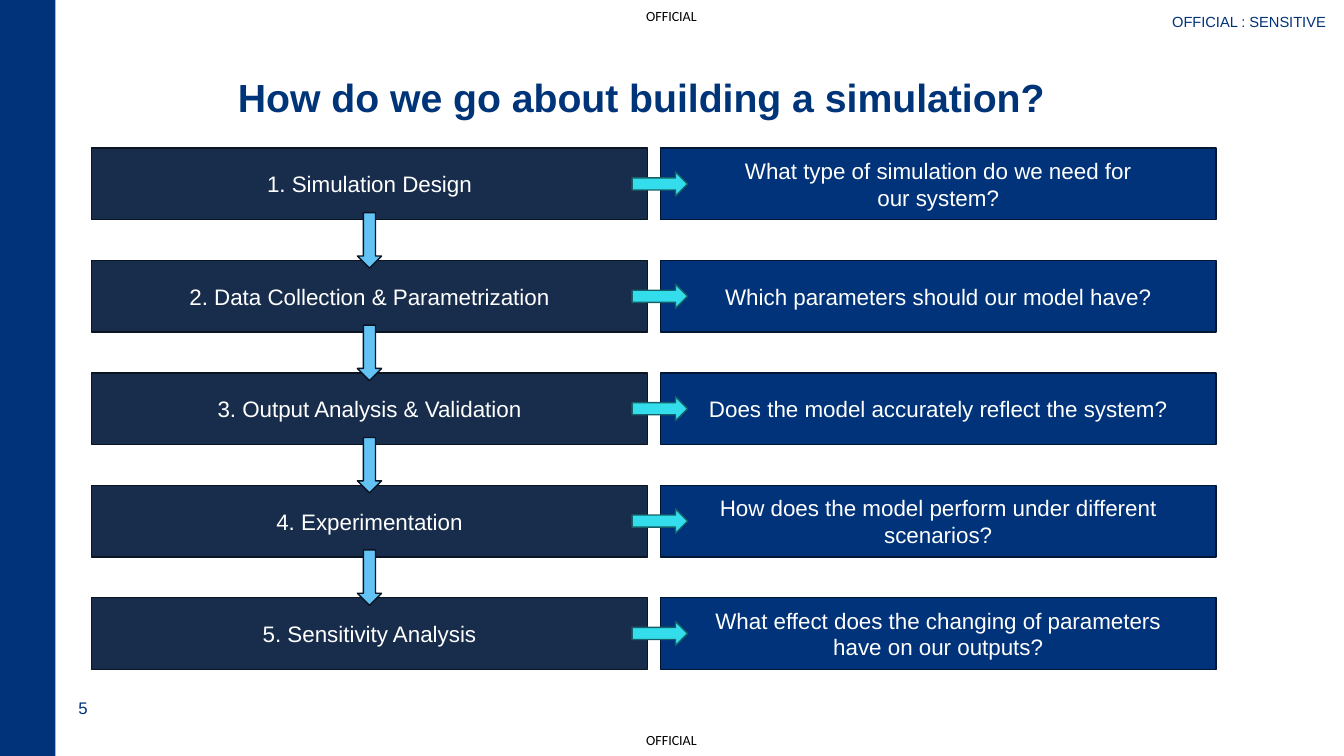
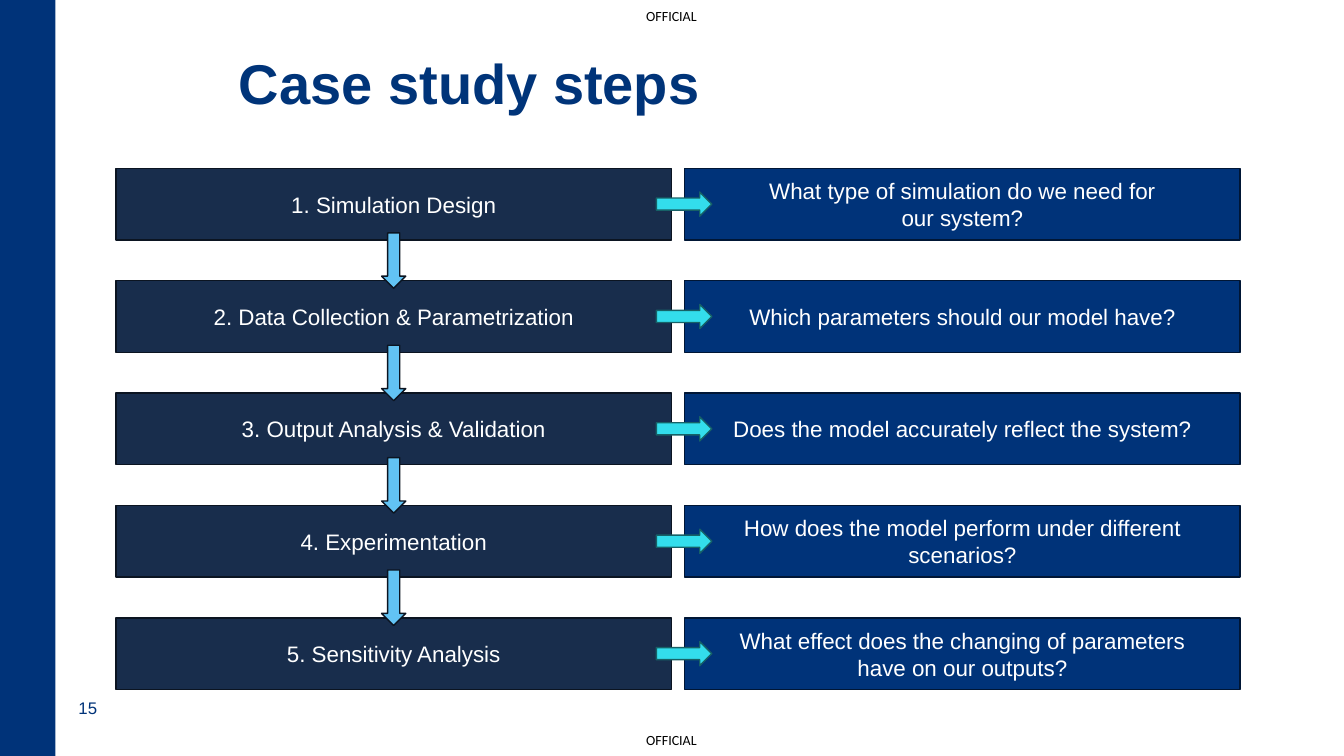
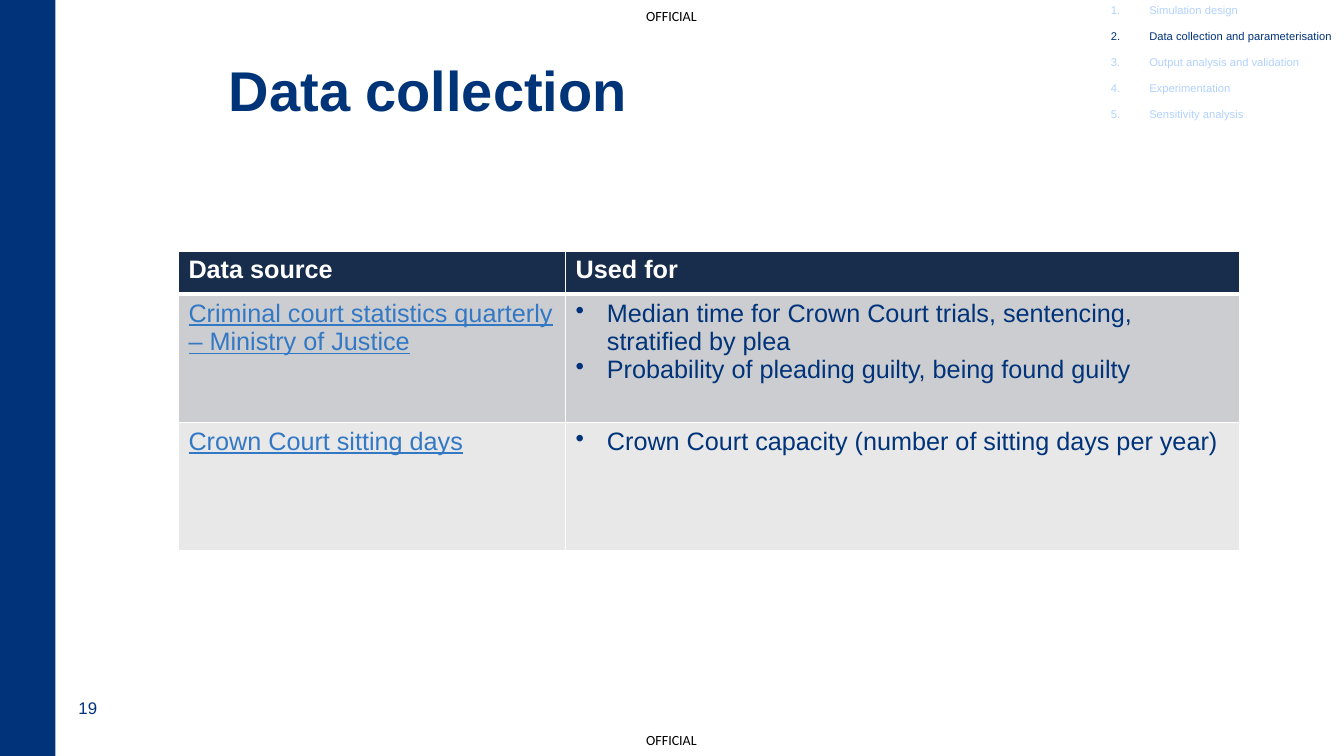
from dataclasses import dataclass

from lxml.etree import SubElement
from pptx import Presentation
from pptx.dml.color import RGBColor
from pptx.enum.shapes import MSO_SHAPE
from pptx.enum.text import MSO_ANCHOR, MSO_AUTO_SIZE, PP_ALIGN
from pptx.oxml import parse_xml
from pptx.oxml.ns import nsdecls, qn
from pptx.util import Inches, Pt


@dataclass(frozen=True)
class Theme:
    font: str = "Arial"
    marking_font: str = "Calibri"

    title: str = "003479"
    blue: str = "003379"
    blue_edge: str = "001635"
    navy: str = "182D4C"
    navy_edge: str = "0B1421"
    sky: str = "62C3F4"
    aqua: str = "33DDEC"
    aqua_edge: str = "166167"
    faded: str = "B1D2FF"
    link: str = "3278C5"
    row_dark: str = "CCCDD0"
    row_light: str = "E8E8E9"
    white: str = "FFFFFF"
    black: str = "000000"

    title_size: float = 40
    long_title_size: float = 28
    table_size: float = 18
    box_size: float = 16
    number_size: float = 12
    sensitive_size: float = 10.5
    marking_size: float = 10
    agenda_size: float = 8


THEME = Theme()

STEPS = [
    ("1. Simulation Design",
     ["What type of simulation do we need for", "our system?"]),
    ("2. Data Collection & Parametrization",
     ["Which parameters should our model have?"]),
    ("3. Output Analysis & Validation",
     ["Does the model accurately reflect the system?"]),
    ("4. Experimentation",
     ["How does the model perform under different scenarios?"]),
    ("5. Sensitivity Analysis",
     ["What effect does the changing of parameters", "have on our outputs?"]),
]

AGENDA = ["Simulation design", "Data collection and parameterisation",
          "Output analysis and validation", "Experimentation",
          "Sensitivity analysis"]

SOURCES = [
    ("Criminal court statistics quarterly – Ministry of Justice",
     ["Median time for Crown Court trials, sentencing, stratified by plea",
      "Probability of pleading guilty, being found guilty"]),
    ("Crown Court sitting days",
     ["Crown Court capacity (number of sitting days per year)"]),
]


def set_font(paragraph, size, color, name=THEME.font, bold=False, underline=False):
    font = paragraph.font
    font.name, font.size = name, Pt(size)
    font.bold, font.underline = bold, underline
    font.color.rgb = RGBColor.from_string(color)


def write(frame, lines, size, color, align=PP_ALIGN.LEFT, **style):
    """Fill a text frame with one paragraph per line and return the paragraphs."""
    frame.text = "\n".join(lines)
    for paragraph in frame.paragraphs:
        paragraph.alignment = align
        set_font(paragraph, size, color, **style)
    return frame.paragraphs


def set_bullet(paragraph, indent, tag, **attributes):
    """Hang the paragraph by indent inches behind a buChar or buAutoNum."""
    properties = paragraph._p.get_or_add_pPr()
    properties.set("marL", str(Inches(indent)))
    properties.set("indent", str(-Inches(indent)))
    marker = SubElement(properties, qn(f"a:{tag}"), **attributes)
    defaults = properties.find(qn("a:defRPr"))
    if defaults is not None:
        defaults.addprevious(marker)


def set_borders(cell, color, **widths):
    """Draw the sides L, R, T and B with the given widths in points."""
    properties = cell._tc.get_or_add_tcPr()
    for index, side in enumerate("LRTB"):
        properties.insert(index, parse_xml(
            f'<a:ln{side} {nsdecls("a")} w="{Pt(widths.get(side, 1))}"><a:solidFill>'
            f'<a:srgbClr val="{color}"/></a:solidFill></a:ln{side}>'))


class Deck:
    def __init__(self, theme):
        self.theme = theme
        self.presentation = Presentation()
        self.presentation.slide_width = Inches(13.33)
        self.presentation.slide_height = Inches(7.5)
        self.slide = None

    def new_slide(self, number, title, left, top, width=5.84, size=None):
        """Start a slide with its markings, side band, page number and title."""
        t = self.theme
        layout = self.presentation.slide_layouts[5]
        self.slide = self.presentation.slides.add_slide(layout)
        for marking_top in (0.07, 7.26):
            self.text(["OFFICIAL"], 6.41, marking_top, 0.53, 0.17, t.marking_size,
                      t.black, inset=0, wrap=False, name=t.marking_font)
        self.shape(MSO_SHAPE.RECTANGLE, 0, 0, 0.55, 7.5, t.blue)
        self.text([str(number)], 0.68, 6.87, 1.87, 0.3, t.number_size, t.blue)

        heading = self.slide.shapes.title
        heading.left, heading.top = Inches(left), Inches(top)
        heading.width, heading.height = Inches(width), Inches(0.88)
        frame = heading.text_frame
        frame.vertical_anchor = MSO_ANCHOR.BOTTOM
        frame.auto_size = MSO_AUTO_SIZE.NONE
        paragraph, = write(frame, [title], size or t.title_size, t.title, bold=True)
        paragraph.line_spacing = 0.9

    def text(self, lines, left, top, width, height, size, color,
             inset=None, wrap=True, **style):
        box = self.slide.shapes.add_textbox(
            Inches(left), Inches(top), Inches(width), Inches(height))
        frame = box.text_frame
        frame.word_wrap = wrap
        if inset is not None:
            frame.margin_left = frame.margin_right = Inches(inset)
            frame.margin_top = frame.margin_bottom = Inches(inset)
        return write(frame, lines, size, color, **style)

    def shape(self, kind, left, top, width, height, fill, edge=None):
        shape = self.slide.shapes.add_shape(
            kind, Inches(left), Inches(top), Inches(width), Inches(height))
        shape.shadow.inherit = False
        shape.fill.solid()
        shape.fill.fore_color.rgb = RGBColor.from_string(fill)
        if edge:
            shape.line.color.rgb = RGBColor.from_string(edge)
            shape.line.width = Pt(1)
        else:
            shape.line.fill.background()
        return shape

    def box(self, lines, left, top, width, height, fill, edge):
        frame = self.shape(MSO_SHAPE.RECTANGLE, left, top, width, height,
                           fill, edge).text_frame
        frame.word_wrap = True
        frame.vertical_anchor = MSO_ANCHOR.MIDDLE
        write(frame, lines, self.theme.box_size, self.theme.white, PP_ALIGN.CENTER)

    def step_flow(self, steps, left, top):
        """Stack the steps, each pointing to its question and to the next step."""
        t = self.theme
        width, height, gap = 5.51, 0.71, 0.13
        pitch = 4.46 / 4
        length, thickness = 0.55, 0.24
        tops = [top + row * pitch for row in range(len(steps))]
        for (step, question), row_top in zip(steps, tops):
            self.box([step], left, row_top, width, height, t.navy, t.navy_edge)
            self.box(question, left + width + gap, row_top, width, height,
                     t.blue, t.blue_edge)
        for row_top in tops[:-1]:
            self.shape(MSO_SHAPE.DOWN_ARROW, left + (width - thickness) / 2,
                       row_top + 0.64, thickness, length, t.sky, t.navy_edge)
        for row_top in tops:
            self.shape(MSO_SHAPE.RIGHT_ARROW, left + 5.36,
                       row_top + (height - thickness) / 2, length, thickness,
                       t.aqua, t.aqua_edge)

    def agenda(self, entries, current):
        t = self.theme
        paragraphs = self.text(entries, 10.92, 0, 2.41, 2.12, t.agenda_size, t.faded)
        for entry, paragraph in zip(entries, paragraphs):
            paragraph.line_spacing = 0.9
            paragraph.space_before = Pt(10)
            set_bullet(paragraph, 0.38, "buAutoNum", type="arabicPeriod")
            if entry == current:
                paragraph.font.color.rgb = RGBColor.from_string(t.blue)

    def cell(self, cell, lines, fill, color, borders, **style):
        cell.fill.solid()
        cell.fill.fore_color.rgb = RGBColor.from_string(fill)
        set_borders(cell, self.theme.white, **borders)
        return write(cell.text_frame, lines, self.theme.table_size, color, **style)

    def source_table(self, headings, sources):
        t = self.theme
        widths, heights = (3.84, 6.68), (0.43, 1.27, 1.27)
        table = self.slide.shapes.add_table(
            len(heights), len(widths), Inches(1.77), Inches(2.49),
            Inches(sum(widths)), Inches(sum(heights))).table
        for column, width in zip(table.columns, widths):
            column.width = Inches(width)
        for row, height in zip(table.rows, heights):
            row.height = Inches(height)

        for column, heading in enumerate(headings):
            self.cell(table.cell(0, column), [heading], t.navy, t.white,
                      {"B": 3}, bold=True)
        fills = (t.row_dark, t.row_light)
        for row, ((source, uses), fill) in enumerate(zip(sources, fills), start=1):
            borders = {"T": 3} if row == 1 else {}
            self.cell(table.cell(row, 0), [source], fill, t.link, borders,
                      underline=True)
            for use in self.cell(table.cell(row, 1), uses, fill, t.blue, borders):
                set_bullet(use, 0.31, "buChar", char="•")


def main():
    deck = Deck(THEME)

    deck.new_slide(5, "How do we go about building a simulation?", 2.26, 0.37,
                   width=8.31, size=THEME.long_title_size)
    deck.text(["OFFICIAL : SENSITIVE"], 10.97, 0.08, 2.28, 0.24,
              THEME.sensitive_size, THEME.blue, align=PP_ALIGN.RIGHT)
    deck.step_flow(STEPS, 0.91, 1.47)

    deck.new_slide(15, "Case study steps", 2.27, 0.33)
    deck.step_flow(STEPS, 1.15, 1.67)

    deck.new_slide(19, "Data collection", 2.17, 0.4)
    deck.agenda(AGENDA, current=AGENDA[1])
    deck.source_table(["Data source", "Used for"], SOURCES)

    deck.presentation.save("out.pptx")


if __name__ == "__main__":
    main()
